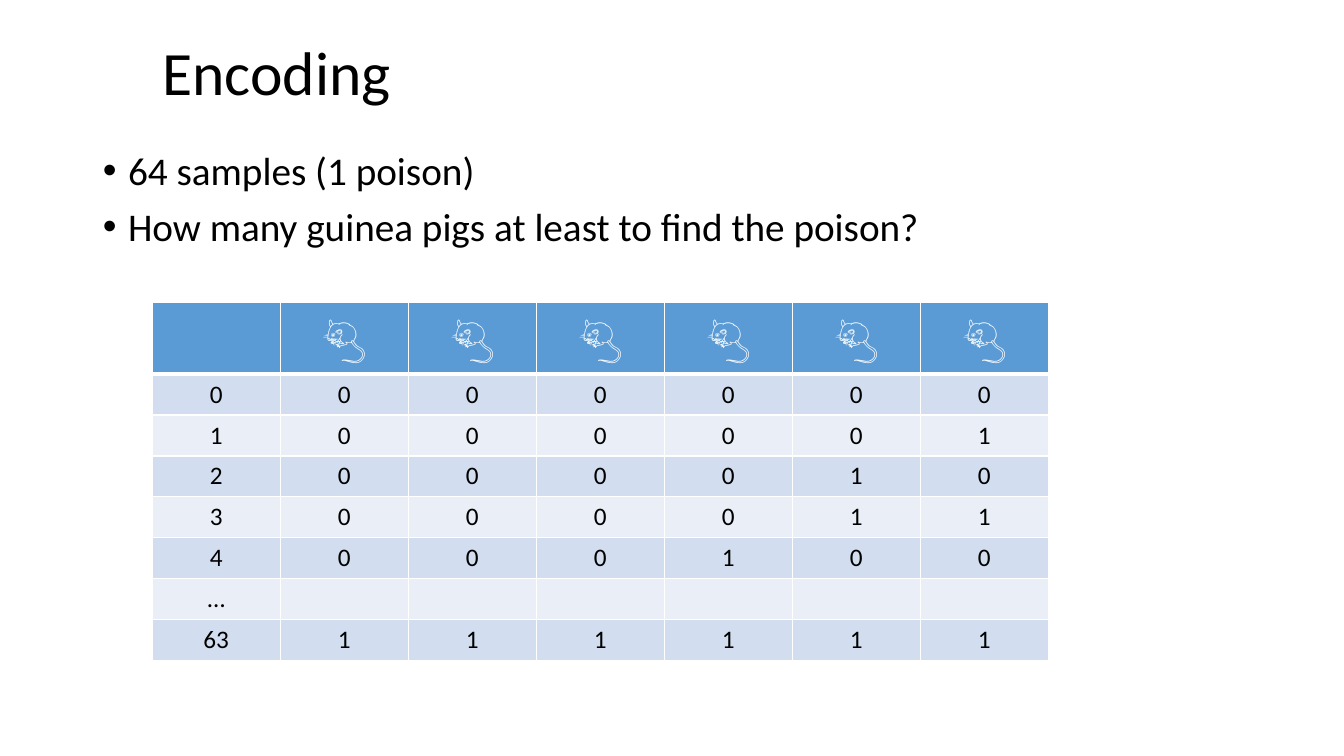
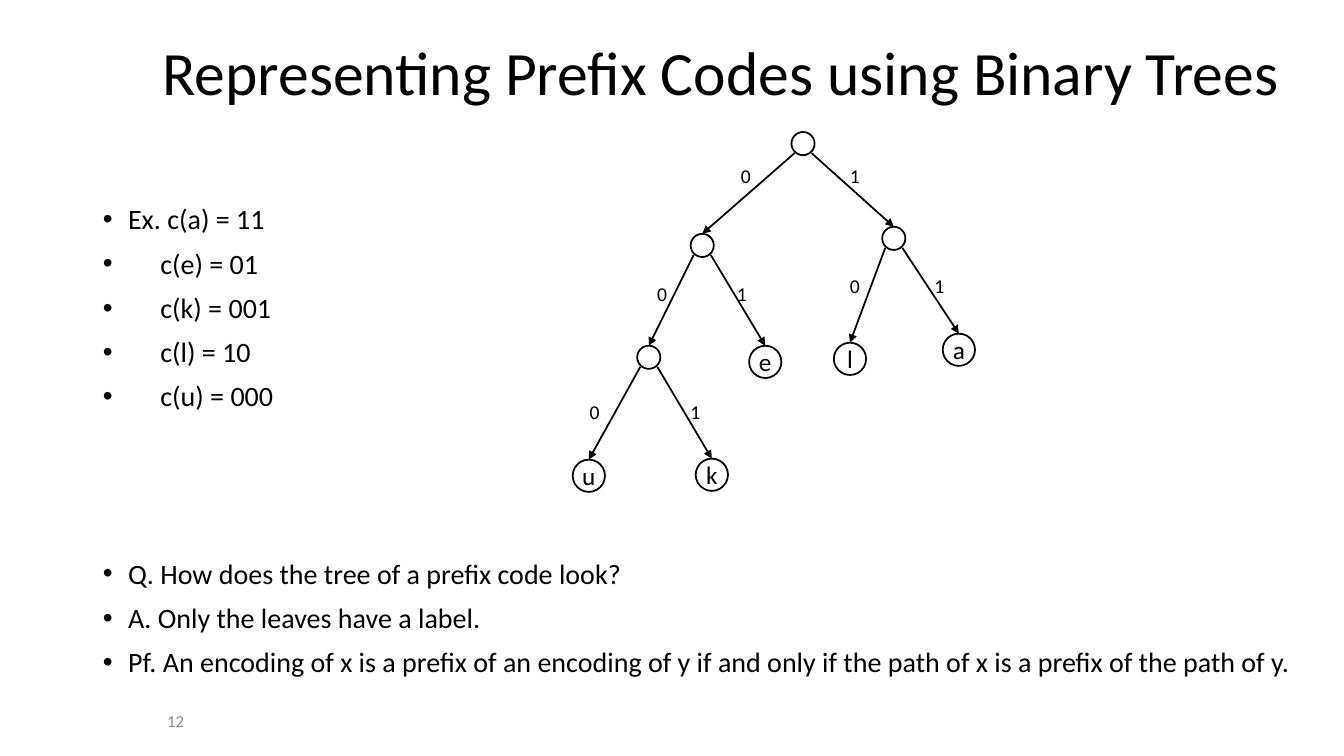
from lxml import etree
from pptx import Presentation
from pptx.dml.color import RGBColor
from pptx.enum.shapes import MSO_CONNECTOR, MSO_SHAPE
from pptx.enum.text import MSO_ANCHOR, MSO_AUTO_SIZE, PP_ALIGN
from pptx.oxml.ns import qn
from pptx.util import Inches, Pt

BLACK = RGBColor(0x00, 0x00, 0x00)
WHITE = RGBColor(0xFF, 0xFF, 0xFF)
GRAY = RGBColor(0x8C, 0x8C, 0x8C)
HEADER_BLUE = RGBColor(0x5B, 0x9B, 0xD5)
BAND_DARK = RGBColor(0xD2, 0xDE, 0xEF)
BAND_LIGHT = RGBColor(0xEA, 0xEF, 0xF7)

BITS = 6
MOUSE = "🐁"
BULLET_INDENT = 0.25
NODE_SIZE, LEAF_SIZE = 0.23, 0.32

# name: (parent, bit, left, top, letter, bit label left, bit label top)
TREE = {
    "root": (None, None, 7.85, 1.31, "", None, None),
    "0": ("root", 0, 6.85, 2.32, "", 7.25, 1.58),
    "1": ("root", 1, 8.75, 2.25, "", 8.33, 1.58),
    "00": ("0", 0, 6.32, 3.43, "", 6.42, 2.75),
    "01": ("0", 1, 7.43, 3.43, "e", 7.21, 2.75),
    "10": ("1", 0, 8.27, 3.4, "l", 8.33, 2.67),
    "11": ("1", 1, 9.35, 3.31, "a", 9.17, 2.67),
    "000": ("00", 0, 5.68, 4.56, "u", 5.75, 3.92),
    "001": ("00", 1, 6.9, 4.55, "k", 6.75, 3.92),
}


class Deck:
    """Holds the shared style and the slide being filled."""

    font_name = "Calibri"
    line_width = Pt(1.25)

    def __init__(self):
        self.presentation = Presentation()
        self.presentation.slide_width = Inches(13.33)
        self.presentation.slide_height = Inches(7.5)
        self.slide = None

    def style(self, paragraph, size, color=BLACK, bold=False, align=PP_ALIGN.LEFT):
        paragraph.alignment = align
        font = paragraph.font
        font.name, font.size, font.bold = self.font_name, Pt(size), bold
        font.color.rgb = color

    @staticmethod
    def place(shape, left, top, width, height):
        shape.left, shape.top = Inches(left), Inches(top)
        shape.width, shape.height = Inches(width), Inches(height)

    def add_slide(self, title):
        layout = self.presentation.slide_layouts[1]
        self.slide = self.presentation.slides.add_slide(layout)
        shape = self.slide.shapes.title
        self.place(shape, 1.51, 0.29, 11.5, 0.91)
        frame = shape.text_frame
        frame.text = title
        frame.auto_size = MSO_AUTO_SIZE.NONE
        frame.vertical_anchor = MSO_ANCHOR.MIDDLE
        frame.paragraphs[0].line_spacing = 0.9
        self.style(frame.paragraphs[0], 44)

    def add_bullets(self, items, size, top, height):
        """Fill the body; each item is (text, extra indent, space before in points)."""
        body = self.slide.placeholders[1]
        self.place(body, 0.92, top, 12.09, height)
        frame = body.text_frame
        frame.text = "\n".join(text for text, _, _ in items)
        frame.auto_size = MSO_AUTO_SIZE.NONE
        for paragraph, (_, extra, space) in zip(frame.paragraphs, items):
            self.style(paragraph, size)
            paragraph.line_spacing = 0.9
            paragraph.space_before = Pt(space)
            indent = Inches(BULLET_INDENT + extra)
            properties = paragraph._p.get_or_add_pPr()
            properties.set("marL", str(indent))
            properties.set("indent", str(-indent))

    def add_text(self, text, left, top, width, height, size, color=BLACK,
                 anchor=MSO_ANCHOR.TOP):
        box = self.slide.shapes.add_textbox(
            Inches(left), Inches(top), Inches(width), Inches(height))
        frame = box.text_frame
        frame.text = text
        frame.vertical_anchor = anchor
        self.style(frame.paragraphs[0], size, color)

    def add_circle(self, left, top, size, letter):
        circle = self.slide.shapes.add_shape(
            MSO_SHAPE.OVAL, Inches(left), Inches(top), Inches(size), Inches(size))
        circle.shadow.inherit = False
        circle.fill.background()
        circle.line.color.rgb = BLACK
        circle.line.width = self.line_width
        if letter:
            frame = circle.text_frame
            frame.text = letter
            frame.word_wrap = False
            frame.vertical_anchor = MSO_ANCHOR.MIDDLE
            self.style(frame.paragraphs[0], 18, align=PP_ALIGN.CENTER)
        return circle

    def add_branch(self, parent, child, bit):
        """Draw an arrow from the lower side of the parent to the top of the child."""
        side = Inches(0.085 if bit else -0.085)
        begin_x = parent.left + parent.width // 2 + side
        begin_y = parent.top + parent.height // 2 + Inches(0.095)
        arrow = self.slide.shapes.add_connector(
            MSO_CONNECTOR.STRAIGHT, begin_x, begin_y, child.left, child.top)
        arrow.end_connect(child, 0)
        arrow.line.color.rgb = BLACK
        arrow.line.width = self.line_width
        etree.SubElement(arrow.line._get_or_add_ln(), qn("a:tailEnd"), type="triangle")
        etree.SubElement(arrow._element.spPr, qn("a:effectLst"))

    @staticmethod
    def set_borders(cell, bottom):
        properties = cell._tc.get_or_add_tcPr()
        for side, width in (("L", 1), ("R", 1), ("T", 1), ("B", bottom)):
            line = etree.SubElement(properties, qn(f"a:ln{side}"), w=str(Pt(width)))
            fill = etree.SubElement(line, qn("a:solidFill"))
            etree.SubElement(fill, qn("a:srgbClr"), val=str(WHITE))

    def add_table(self, rows, left, top, width, height, header_height):
        table = self.slide.shapes.add_table(
            len(rows), len(rows[0]), Inches(left), Inches(top),
            Inches(width), Inches(height)).table
        row_height = (height - header_height) / (len(rows) - 1)
        for row_index, values in enumerate(rows):
            header = row_index == 0
            table.rows[row_index].height = Inches(header_height if header else row_height)
            band = BAND_DARK if row_index % 2 else BAND_LIGHT
            for column_index, value in enumerate(values):
                cell = table.cell(row_index, column_index)
                self.set_borders(cell, bottom=3 if header else 1)
                cell.fill.solid()
                cell.fill.fore_color.rgb = HEADER_BLUE if header else band
                cell.text = value
                self.style(cell.text_frame.paragraphs[0], 36 if header and value else 18,
                           WHITE if header else BLACK, header, PP_ALIGN.CENTER)


def add_encoding_slide(deck):
    deck.add_slide("Encoding")
    deck.add_bullets([
        ("64 samples (1 poison)", 0, 10),
        ("How many guinea pigs at least to find the poison?", 0, 10),
    ], size=28, top=1.45, height=5.3)

    def code_row(number):
        return [str(number), *format(number, f"0{BITS}b")]

    rows = [["", *[MOUSE] * BITS]]
    rows += [code_row(number) for number in range(5)]
    rows += [["…", *[""] * BITS], code_row(2 ** BITS - 1)]
    deck.add_table(rows, 1.51, 3, 8.89, 3.54, header_height=0.7)


def add_tree_slide(deck):
    deck.add_slide("Representing Prefix Codes using Binary Trees")
    deck.add_bullets([
        ("Ex. c(a) = 11", 0, 10),
        ("c(e) = 01", 0.32, 10),
        ("c(k) = 001", 0.32, 10),
        ("c(l) = 10", 0.32, 10),
        ("c(u) = 000", 0.32, 10),
        ("Q. How does the tree of a prefix code look?", 0, 105),
        ("A. Only the leaves have a label.", 0, 10),
        ("Pf. An encoding of x is a prefix of an encoding of y if and only if "
         "the path of x is a prefix of the path of y.", 0, 10),
    ], size=20, top=1.99, height=5.05)
    deck.add_text("12", 1.56, 6.95, 2.36, 0.4, 12, GRAY, MSO_ANCHOR.MIDDLE)

    circles = {}
    for name, (parent, bit, left, top, letter, label_left, label_top) in TREE.items():
        size = LEAF_SIZE if letter else NODE_SIZE
        circles[name] = deck.add_circle(left, top, size, letter)
        if parent:
            deck.add_branch(circles[parent], circles[name], bit)
            deck.add_text(str(bit), label_left, label_top, 0.3, 0.34, 14)


def main():
    deck = Deck()
    add_encoding_slide(deck)
    add_tree_slide(deck)
    deck.presentation.save("out.pptx")


if __name__ == "__main__":
    main()
